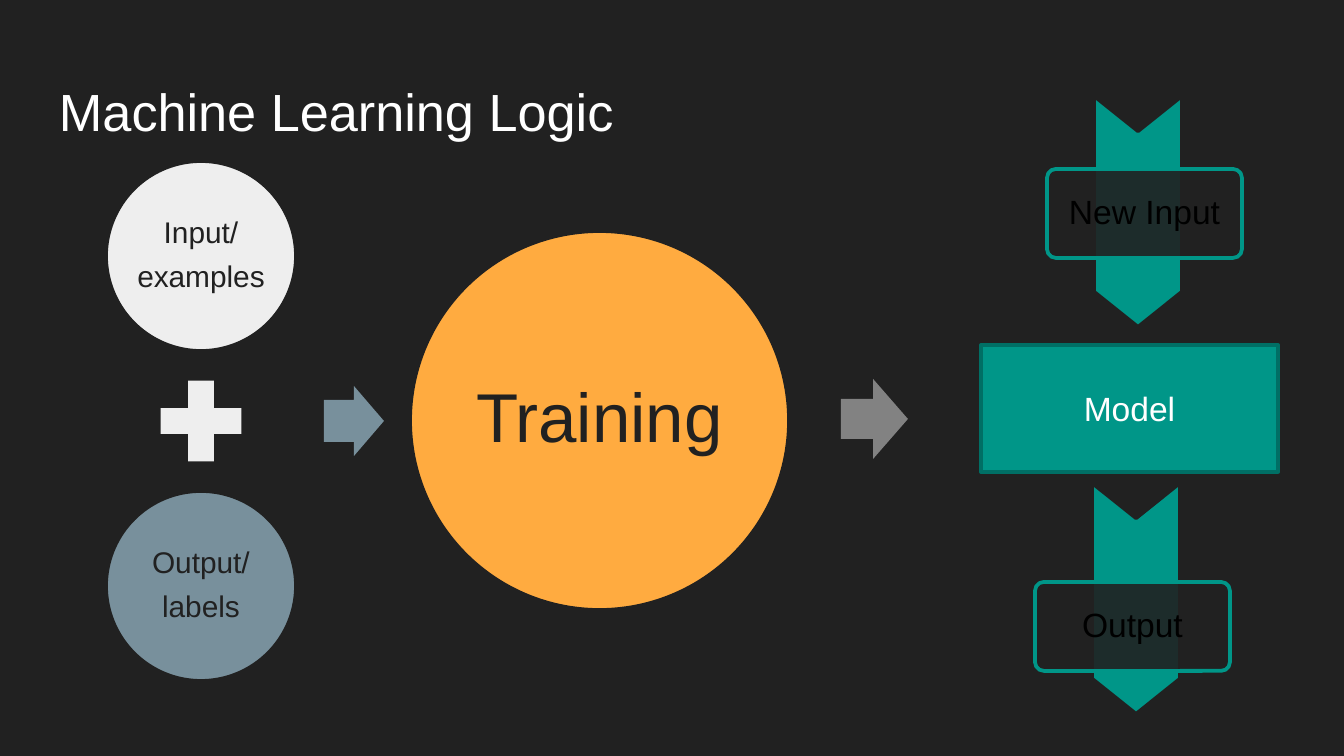
from math import sqrt

from lxml.etree import SubElement
from pptx import Presentation
from pptx.dml.color import RGBColor
from pptx.enum.shapes import MSO_SHAPE
from pptx.enum.text import MSO_ANCHOR, PP_ALIGN
from pptx.oxml.ns import qn
from pptx.util import Emu, Pt

FONT = "Arial"
DARK = "212121"
LIGHT = "EEEEEE"
SLATE = "78909C"
AMBER = "FFAB40"
TEAL = "009688"
WHITE = "FFFFFF"


def px(length):
    """Turn pixels into EMU."""
    return Emu(round(length * 914400 / 134.4))


def color(hex_text):
    """Turn a hex string into a color."""
    return RGBColor.from_string(hex_text)


def write(frame, text, size=18, fill=DARK, align=PP_ALIGN.CENTER,
          anchor=MSO_ANCHOR.MIDDLE, margin=13, spacing=None, gap=0):
    """Fill a text frame with one paragraph for each line of text."""
    frame.word_wrap = True
    frame.vertical_anchor = anchor
    frame.margin_left = frame.margin_right = px(margin)
    frame.margin_top = frame.margin_bottom = px(margin)
    for index, line in enumerate(text.split("\n")):
        paragraph = frame.add_paragraph() if index else frame.paragraphs[0]
        paragraph.alignment = align
        paragraph.line_spacing = spacing
        paragraph.space_before = Pt(gap if index else 0)
        run = paragraph.add_run()
        run.text = line
        run.font.name = FONT
        run.font.size = Pt(size)
        run.font.color.rgb = color(fill)


def add_label(slide, box, text, **text_format):
    """Place a text box."""
    label = slide.shapes.add_textbox(*map(px, box))
    write(label.text_frame, text, **text_format)


def add_block(slide, kind, box, fill, line=None, adjustments=(), alpha=None):
    """Place a filled preset shape."""
    shape = slide.shapes.add_shape(kind, *map(px, box))
    shape.shadow.inherit = False
    shape.fill.solid()
    shape.fill.fore_color.rgb = color(fill)
    if alpha:
        solid_color = shape.element.spPr.find(qn("a:solidFill"))[0]
        SubElement(solid_color, qn("a:alpha"), val=str(alpha * 1000))
    if line:
        shape.line.color.rgb = color(line)
        shape.line.width = Pt(2)
    else:
        shape.line.fill.background()
    for index, value in enumerate(adjustments):
        shape.adjustments[index] = value
    return shape


def add_circle(slide, left, top, diameter, fill, text, **text_format):
    """Place a circle with a label in its inscribed square."""
    add_block(slide, MSO_SHAPE.OVAL, (left, top, diameter, diameter), fill, DARK)
    side = diameter / sqrt(2)
    inset = (diameter - side) / 2
    add_label(slide, (left + inset, top + inset, side, side), text,
              spacing=0.9, **text_format)


def add_training(slide, left, top):
    """Place the examples, the labels and the training circle they feed."""
    add_circle(slide, left, top, 190, LIGHT, "Input/\nexamples",
               size=16, margin=2, gap=6.4)
    add_block(slide, MSO_SHAPE.MATH_PLUS, (left + 40, top + 205, 110, 110), LIGHT)
    add_circle(slide, left, top + 330, 190, SLATE, "Output/\nlabels",
               size=16, margin=2, gap=6.4)
    add_block(slide, MSO_SHAPE.RIGHT_ARROW, (left + 218, top + 225, 60, 70),
              SLATE, adjustments=(0.6, 0.5))
    add_circle(slide, left + 304, top + 70, 379, AMBER, "Training",
               size=37, margin=7)


def add_flow(slide, left, top, label_left, label_top, text):
    """Place a downward chevron crossed by a translucent label."""
    length, width = 231, 88
    shift = (length - width) / 2
    chevron = add_block(slide, MSO_SHAPE.CHEVRON,
                        (left - shift, top + shift, length, width),
                        TEAL, DARK, (0.4,))
    chevron.rotation = 90
    box_left, box_top = left + label_left, top + label_top
    add_block(slide, MSO_SHAPE.ROUNDED_RECTANGLE, (box_left, box_top, 195, 89),
              DARK, TEAL, (0.1,), alpha=90)
    add_label(slide, (box_left + 3, box_top + 3, 189, 83), text,
              fill="000000", margin=18, spacing=0.9)


def add_model(slide, left, top):
    """Place the model block with its incoming arrow."""
    model = add_block(slide, MSO_SHAPE.RECTANGLE, (left + 140, top, 297, 127),
                      TEAL, "006F65")
    write(model.text_frame, "Model", fill=WHITE)
    add_block(slide, MSO_SHAPE.RIGHT_ARROW, (left, top + 34, 67, 80),
              "828282", adjustments=(0.5, 0.52))


def main():
    """Build and save the slide."""
    presentation = Presentation()
    presentation.slide_width, presentation.slide_height = px(1344), px(756)
    slide = presentation.slides.add_slide(presentation.slide_layouts[6])
    slide.background.fill.solid()
    slide.background.fill.fore_color.rgb = color(DARK)
    add_label(slide, (46, 66, 1252, 85), "Machine Learning Logic", size=28,
              fill=WHITE, align=PP_ALIGN.LEFT, anchor=MSO_ANCHOR.TOP)
    add_training(slide, 106, 161)
    add_flow(slide, 1094, 96, -47, 73, "New Input")
    add_flow(slide, 1092, 483, -57, 99, "Output")
    add_model(slide, 841, 345)
    presentation.save("out.pptx")


if __name__ == "__main__":
    main()
